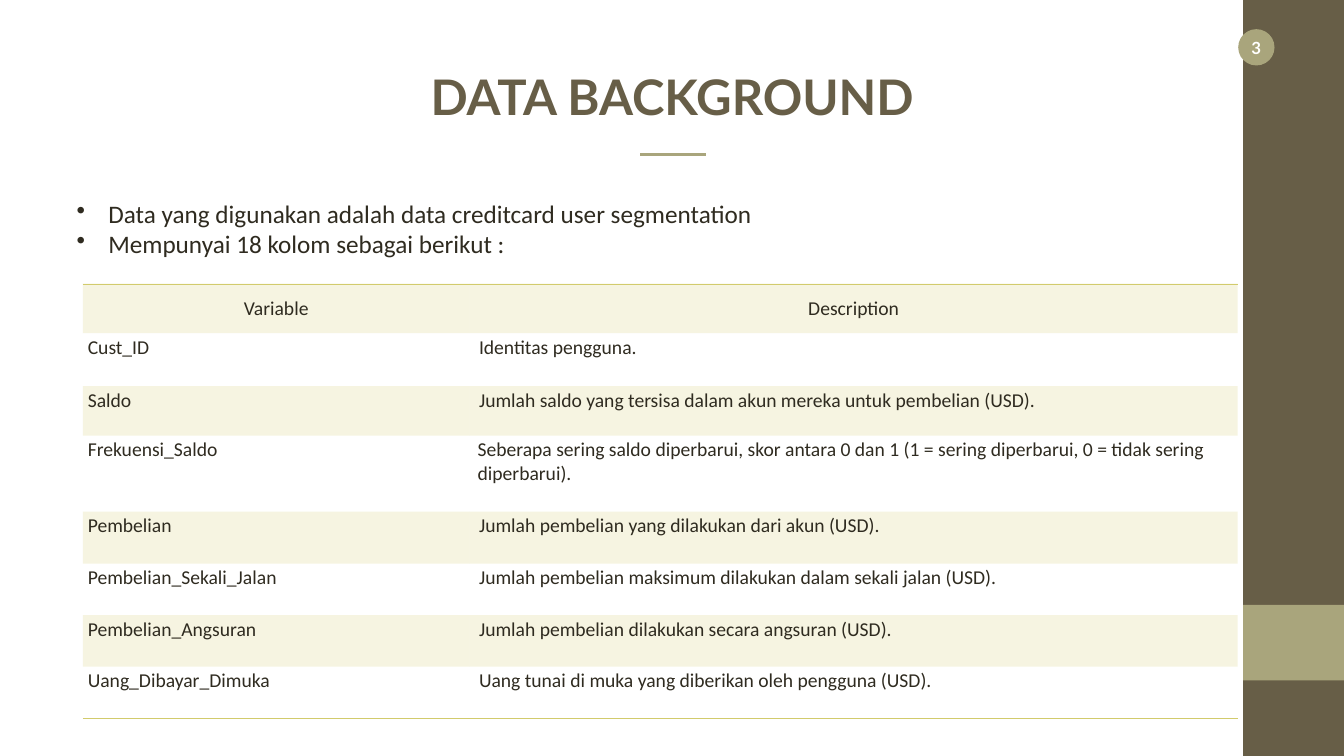
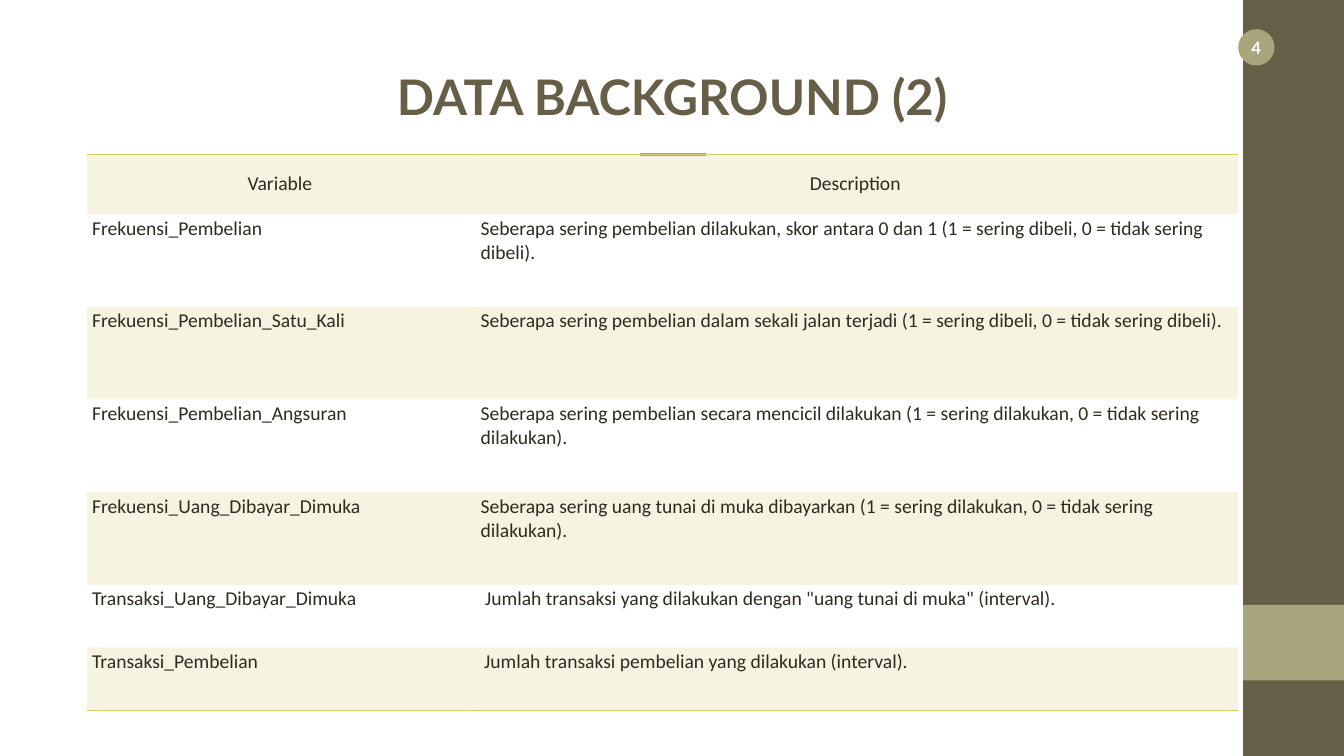
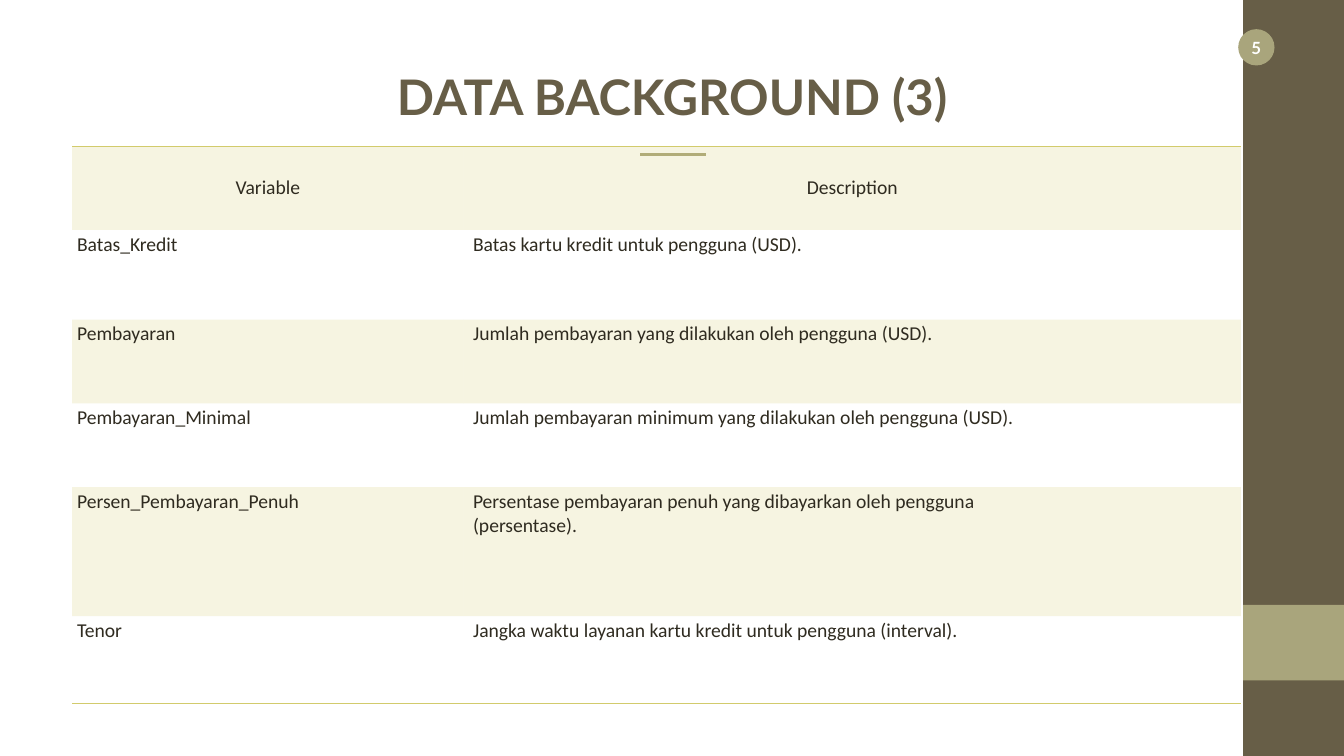
from dataclasses import dataclass

from lxml import etree
from pptx import Presentation
from pptx import util as u
from pptx.dml.color import RGBColor
from pptx.enum import shapes, text
from pptx.oxml import ns

TITLE_ONLY = 5
NO_STYLE = "{2D5ABB26-0587-4C30-8999-92F81FD0307C}"


@dataclass(frozen=True)
class Theme:
    dark: str = "675E47"
    accent: str = "A9A57C"
    ink: str = "2F2B20"
    gold: str = "D2CB6C"
    white: str = "FFFFFF"
    heading_font: str = "Lato"
    body_font: str = "Calibri"
    title_size: int = 70
    bullet_size: int = 36
    cell_size: int = 28
    number_size: int = 24
    band_alpha: int = 20
    rule_width: float = 4.5
    border_width: float = 0.45


@dataclass(frozen=True)
class Box:
    left: float
    top: float
    width: float
    height: float

    def inside(self, left, top, width, height):
        return Box(self.left + left, self.top + top, width, height)

    def lengths(self):
        return [u.Cm(value) for value in (self.left, self.top, self.width, self.height)]


THEME = Theme()
PAGE = Box(0, 0, 67.72, 38.1)
SIDEBAR = Box(62.64, 0, 5.08, 38.1)
TITLE = Box(19.28, 3.23, 29.18, 3.23)
BULLETS = Box(3.61, 9.88, 50.04, 4.83)
VARIABLE_SHARE = 0.335
INDENT = 0.22
WRAPPED_INDENT = 0.15

BULLET_LINES = [
    "Data yang digunakan adalah data creditcard user segmentation",
    "Mempunyai 18 kolom sebagai berikut :",
]

SLIDES = [
    {
        "number": 3,
        "title": "DATA BACKGROUND",
        "bullets": BULLET_LINES,
        "table": Box(4.17, 14.3, 58.19, 21.89),
        "header_height": 2.49,
        "rows": [
            (2.67, "Cust_ID", "Identitas pengguna.", INDENT),
            (2.49, "Saldo", "Jumlah saldo yang tersisa dalam akun mereka untuk pembelian (USD).", INDENT),
            (3.84, "Frekuensi_Saldo", "Seberapa sering saldo diperbarui, skor antara 0 dan 1 "
             "(1 = sering diperbarui, 0 = tidak sering diperbarui).", WRAPPED_INDENT),
            (2.62, "Pembelian", "Jumlah pembelian yang dilakukan dari akun (USD).", INDENT),
            (2.59, "Pembelian_Sekali_Jalan",
             "Jumlah pembelian maksimum dilakukan dalam sekali jalan (USD).", INDENT),
            (2.59, "Pembelian_Angsuran", "Jumlah pembelian dilakukan secara angsuran (USD).", INDENT),
            (2.59, "Uang_Dibayar_Dimuka", "Uang tunai di muka yang diberikan oleh pengguna (USD).", INDENT),
        ],
    },
    {
        "number": 4,
        "title": "DATA BACKGROUND (2)",
        "bullets": [],
        "table": Box(4.39, 7.77, 57.98, 28),
        "header_height": 3.02,
        "rows": [
            (4.67, "Frekuensi_Pembelian", "Seberapa sering pembelian dilakukan, skor antara 0 dan 1 "
             "(1 = sering dibeli, 0 = tidak sering dibeli).", WRAPPED_INDENT),
            (4.67, "Frekuensi_Pembelian_Satu_Kali", "Seberapa sering pembelian dalam sekali jalan terjadi "
             "(1 = sering dibeli, 0 = tidak sering dibeli).", WRAPPED_INDENT),
            (4.67, "Frekuensi_Pembelian_Angsuran", "Seberapa sering pembelian secara mencicil dilakukan "
             "(1 = sering dilakukan, 0 = tidak sering dilakukan).", WRAPPED_INDENT),
            (4.67, "Frekuensi_Uang_Dibayar_Dimuka", "Seberapa sering uang tunai di muka dibayarkan "
             "(1 = sering dilakukan, 0 = tidak sering dilakukan).", WRAPPED_INDENT),
            (3.15, "Transaksi_Uang_Dibayar_Dimuka",
             'Jumlah transaksi yang dilakukan dengan "uang tunai di muka" (interval).', 0.38),
            (3.15, "Transaksi_Pembelian", "Jumlah transaksi pembelian yang dilakukan (interval).", 0.33),
        ],
    },
    {
        "number": 5,
        "title": "DATA BACKGROUND (3)",
        "bullets": [],
        "table": Box(3.63, 7.37, 58.9, 28.07),
        "header_height": 4.22,
        "rows": [
            (4.52, "Batas_Kredit", "Batas kartu kredit untuk pengguna (USD).", INDENT),
            (4.22, "Pembayaran", "Jumlah pembayaran yang dilakukan oleh pengguna (USD).", INDENT),
            (4.22, "Pembayaran_Minimal",
             "Jumlah pembayaran minimum yang dilakukan oleh pengguna (USD).", INDENT),
            (6.5, "Persen_Pembayaran_Penuh",
             "Persentase pembayaran penuh yang dibayarkan oleh pengguna\n(persentase).", INDENT),
            (4.39, "Tenor", "Jangka waktu layanan kartu kredit untuk pengguna (interval).", INDENT),
        ],
    },
]


def set_values(target, values):
    for name, value in values.items():
        setattr(target, name, value)


def format_text(frame, font, size, color, bold=False, align=text.PP_ALIGN.LEFT):
    for paragraph in frame.paragraphs:
        paragraph.alignment = align
        set_values(paragraph.font, {"name": font, "size": u.Pt(size), "bold": bold})
        paragraph.font.color.rgb = RGBColor.from_string(color)


def indent_paragraph(paragraph, left, first=0.0):
    properties = paragraph._p.get_or_add_pPr()
    properties.set("marL", str(u.Cm(left)))
    properties.set("indent", str(u.Cm(first)))
    return properties


def add_block(slide, kind, box, color):
    shape = slide.shapes.add_shape(kind, *box.lengths())
    shape.shadow.inherit = False
    shape.fill.solid()
    shape.fill.fore_color.rgb = RGBColor.from_string(color)
    shape.line.fill.background()
    return shape


def add_sidebar(slide, box, number):
    rectangle = shapes.MSO_SHAPE.RECTANGLE
    add_block(slide, rectangle, box, THEME.dark)
    add_block(slide, rectangle, box.inside(0, 30.48, box.width, 3.81), THEME.accent)
    badge = add_block(slide, shapes.MSO_SHAPE.OVAL, box.inside(-0.25, 1.47, 1.83, 1.83), THEME.accent)
    frame = badge.text_frame
    frame.text = str(number)
    set_values(frame, {
        "margin_left": 0, "margin_top": 0, "margin_right": 0, "margin_bottom": 0,
        "word_wrap": False, "vertical_anchor": text.MSO_ANCHOR.MIDDLE,
    })
    format_text(frame, THEME.heading_font, THEME.number_size, THEME.white, True, text.PP_ALIGN.CENTER)


def add_title(slide, box, wording):
    title = slide.shapes.title
    set_values(title, dict(zip(("left", "top", "width", "height"), box.lengths())))
    frame = title.text_frame
    frame.text = wording
    set_values(frame, {
        "word_wrap": False, "auto_size": text.MSO_AUTO_SIZE.NONE,
        "vertical_anchor": text.MSO_ANCHOR.MIDDLE,
    })
    format_text(frame, THEME.heading_font, THEME.title_size, THEME.dark, True, text.PP_ALIGN.CENTER)

    middle, rule_top, half = box.left + box.width / 2 + 0.04, box.top + 4.54, 1.65
    rule = slide.shapes.add_connector(
        shapes.MSO_CONNECTOR.STRAIGHT,
        u.Cm(middle - half), u.Cm(rule_top), u.Cm(middle + half), u.Cm(rule_top))
    rule.line.color.rgb = RGBColor.from_string(THEME.accent)
    rule.line.width = u.Pt(THEME.rule_width)
    etree.SubElement(rule._element.spPr, ns.qn("a:effectLst"))


def add_bullets(slide, box, lines):
    frame = slide.shapes.add_textbox(*box.lengths()).text_frame
    frame.word_wrap = True
    frame.text = "\n".join(lines)
    for paragraph in frame.paragraphs:
        properties = indent_paragraph(paragraph, 1.6, -1.6)
        etree.SubElement(properties, ns.qn("a:buChar"), char="•")
    format_text(frame, THEME.body_font, THEME.bullet_size, THEME.ink, align=text.PP_ALIGN.JUSTIFY)


def shade_cell(cell):
    cell.fill.solid()
    cell.fill.fore_color.rgb = RGBColor.from_string(THEME.gold)
    color = cell._tc.tcPr.find(".//" + ns.qn("a:srgbClr"))
    etree.SubElement(color, ns.qn("a:alpha"), val=str(THEME.band_alpha * 1000))


def add_border(cell, side):
    line = etree.Element(ns.qn(f"a:ln{side}"), w=str(u.Pt(THEME.border_width)))
    fill = etree.SubElement(line, ns.qn("a:solidFill"))
    etree.SubElement(fill, ns.qn("a:srgbClr"), val=THEME.gold)
    cell._tc.get_or_add_tcPr().insert(0, line)


def add_variable_table(slide, box, header_height, rows):
    records = [(header_height, "Variable", "Description", 0)] + rows
    table = slide.shapes.add_table(len(records), 2, *box.lengths()).table
    set_values(table, {"first_row": False, "horz_banding": False})
    table._tbl.tblPr.find(ns.qn("a:tableStyleId")).text = NO_STYLE
    for column, share in zip(table.columns, (VARIABLE_SHARE, 1 - VARIABLE_SHARE)):
        column.width = u.Cm(box.width * share)

    for index, (height, variable, description, indent) in enumerate(records):
        table.rows[index].height = u.Cm(height)
        is_header = index == 0
        for column, (wording, left) in enumerate(((variable, 0), (description, indent))):
            cell = table.cell(index, column)
            cell.text = wording
            for paragraph in cell.text_frame.paragraphs:
                indent_paragraph(paragraph, left)
            align = text.PP_ALIGN.CENTER if is_header else text.PP_ALIGN.LEFT
            format_text(cell.text_frame, THEME.body_font, THEME.cell_size, THEME.ink, align=align)
            cell.vertical_anchor = text.MSO_ANCHOR.MIDDLE if is_header else text.MSO_ANCHOR.TOP
            if index % 2 == 0:
                shade_cell(cell)
            else:
                cell.fill.background()
            if is_header:
                add_border(cell, "T")
            elif index == len(records) - 1:
                add_border(cell, "B")


def add_data_slide(presentation, content):
    slide = presentation.slides.add_slide(presentation.slide_layouts[TITLE_ONLY])
    add_sidebar(slide, SIDEBAR, content["number"])
    add_title(slide, TITLE, content["title"])
    if content["bullets"]:
        add_bullets(slide, BULLETS, content["bullets"])
    add_variable_table(slide, content["table"], content["header_height"], content["rows"])


def main():
    presentation = Presentation()
    set_values(presentation, {"slide_width": u.Cm(PAGE.width), "slide_height": u.Cm(PAGE.height)})
    for content in SLIDES:
        add_data_slide(presentation, content)
    presentation.save("out.pptx")


if __name__ == "__main__":
    main()
